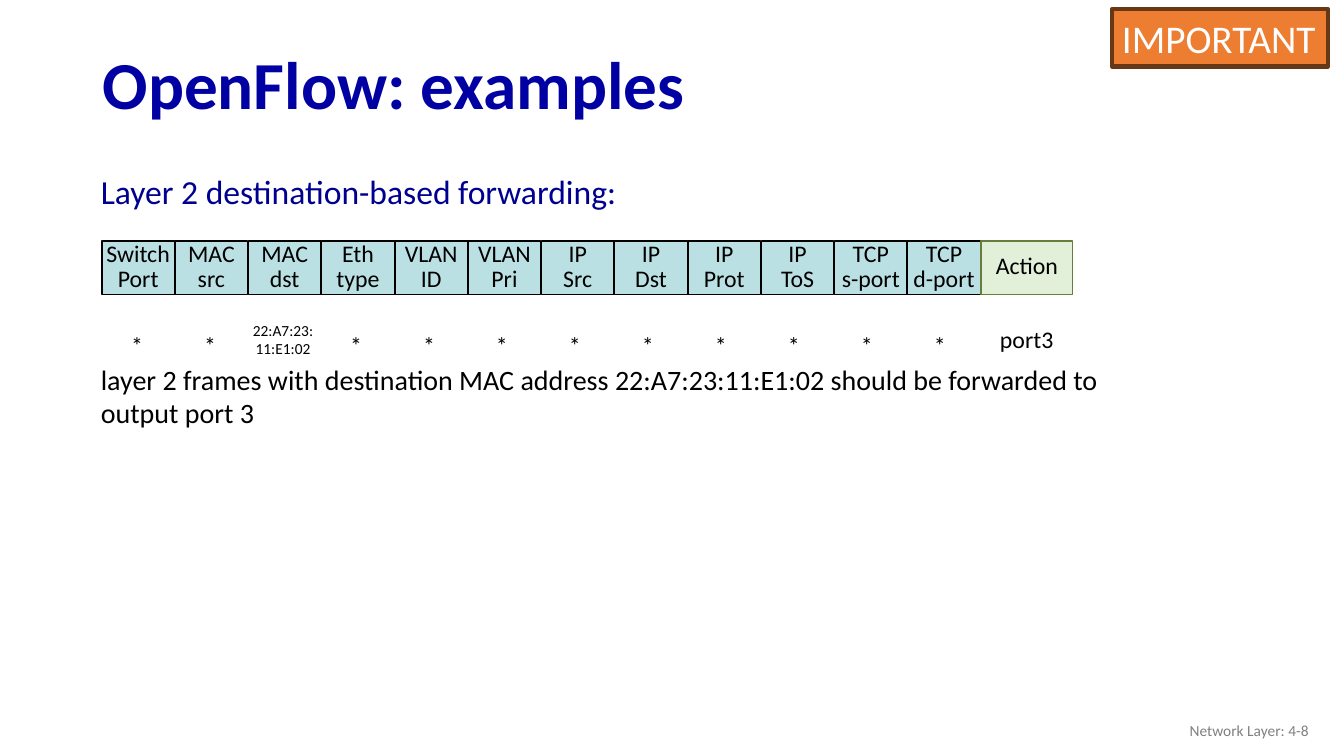
from dataclasses import dataclass

from pptx import Presentation
from pptx.dml.color import RGBColor
from pptx.enum.shapes import MSO_SHAPE as Shape
from pptx.enum.text import MSO_ANCHOR as Anchor, PP_ALIGN as Align
from pptx.util import Inches, Pt

CELL = 0.1
FONT = "Calibri"
BLACK = "000000"


@dataclass(frozen=True)
class Area:
    column: float
    row: float
    columns: float
    rows: float


@dataclass(frozen=True)
class Band:
    first: Area
    pitch: float
    last_columns: float

    def area(self, index: int, last: bool, lift: float = 0) -> Area:
        columns = self.last_columns if last else self.first.columns
        column = self.first.column + index * self.pitch
        return Area(column, self.first.row - lift, columns, self.first.rows)


@dataclass(frozen=True)
class Field:
    header: str
    match: str = "*"
    size: float = 17
    lift: float = 0
    fill: str = "BBE0E3"
    line: str = BLACK


FIELDS = [
    Field("Switch\nPort"),
    Field("MAC\nsrc"),
    Field("MAC\ndst", "22:A7:23:\n11:E1:02", size=11, lift=0.6),
    Field("Eth\ntype"),
    Field("VLAN\nID"),
    Field("VLAN\nPri"),
    Field("IP\nSrc"),
    Field("IP\nDst"),
    Field("IP\nProt"),
    Field("IP\nToS"),
    Field("TCP\ns-port"),
    Field("TCP\nd-port"),
    Field("Action", "port3", lift=0.6, fill="E2F0D9", line="697D3A"),
]
HEADERS = Band(Area(10.1, 23.9, 7.2, 5.3), pitch=(97.3 - 10.1) / 12, last_columns=9.1)
MATCHES = Band(Area(10, 32.5, 7.2, 3.5), pitch=(89.6 - 10) / 11, last_columns=10)


def color(code: str) -> RGBColor:
    return RGBColor.from_string(code)


def bounds(area: Area) -> list:
    return [Inches(n * CELL) for n in (area.column, area.row, area.columns, area.rows)]


def write(box, text: str, *, size: float, ink: str = BLACK, bold: bool = False,
          align=Align.LEFT, anchor=Anchor.MIDDLE, spacing: float = 1.0,
          wrap: bool = True, inset: bool = False) -> None:
    frame = box.text_frame
    frame.word_wrap = wrap
    frame.vertical_anchor = anchor
    if not inset:
        frame.margin_left = frame.margin_right = 0
        frame.margin_top = frame.margin_bottom = 0
    for number, line in enumerate(text.split("\n")):
        para = frame.add_paragraph() if number else frame.paragraphs[0]
        para.alignment = align
        para.line_spacing = spacing
        span = para.add_run()
        span.text = line
        span.font.name = FONT
        span.font.size = Pt(size)
        span.font.bold = bold
        span.font.color.rgb = color(ink)


def add_text(page, area: Area, text: str, **style) -> None:
    write(page.shapes.add_textbox(*bounds(area)), text, **style)


def add_panel(page, area: Area, text: str, *, fill: str, line: str,
              weight: float, **style) -> None:
    box = page.shapes.add_shape(Shape.RECTANGLE, *bounds(area))
    box.shadow.inherit = False
    box.fill.solid()
    box.fill.fore_color.rgb = color(fill)
    box.line.color.rgb = color(line)
    box.line.width = Pt(weight)
    write(box, text, **style)


def add_flow_table(page) -> None:
    for index, field in enumerate(FIELDS):
        last = index == len(FIELDS) - 1
        add_panel(page, HEADERS.area(index, last), field.header, fill=field.fill,
                  line=field.line, weight=1, size=17, align=Align.CENTER, spacing=0.85)
        add_text(page, MATCHES.area(index, last, field.lift), field.match,
                 size=field.size, align=Align.CENTER)


def main() -> None:
    deck = Presentation()
    deck.slide_width = Inches(13.33)
    deck.slide_height = Inches(7.5)
    page = deck.slides.add_slide(deck.slide_layouts[6])

    add_text(page, Area(9.2, 3.8, 115, 9.8), "OpenFlow: examples",
             size=48, ink="0000A3", bold=True, spacing=0.9, inset=True)
    add_text(page, Area(10, 17, 51.7, 4), "Layer 2 destination-based forwarding:",
             size=24, ink="000090", wrap=False)
    add_text(page, Area(10, 35.9, 102.2, 6.7),
             "layer 2 frames with destination MAC address 22:A7:23:11:E1:02 "
             "should be forwarded to output port 3", size=20)
    add_flow_table(page)
    add_text(page, Area(100.8, 70.5, 30, 4), "Network Layer: 4-8",
             size=11, ink="808080", align=Align.RIGHT, inset=True)
    add_panel(page, Area(110.3, 0.9, 21.4, 5.7), "IMPORTANT", fill="ED7D31",
              line="683715", weight=3, size=28, ink="FFFFFF",
              anchor=Anchor.TOP, wrap=False, inset=True)
    deck.save("out.pptx")


if __name__ == "__main__":
    main()
